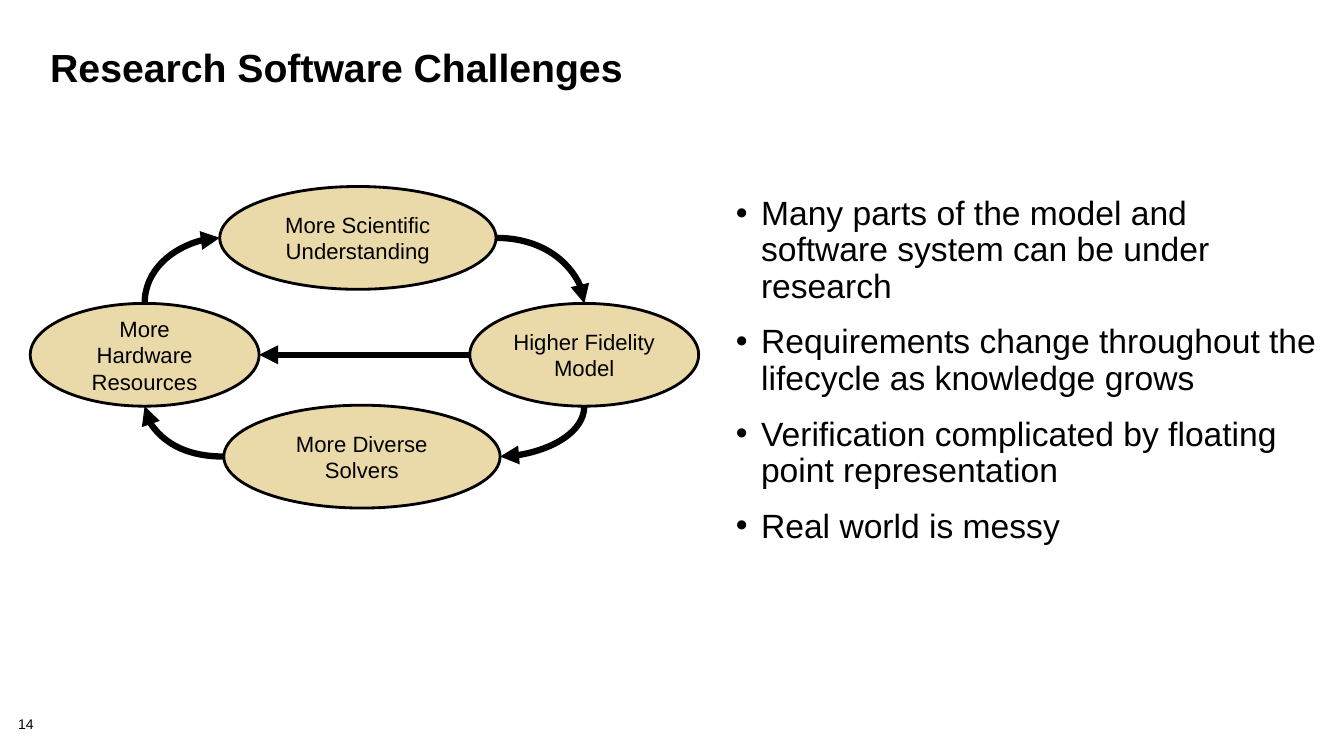
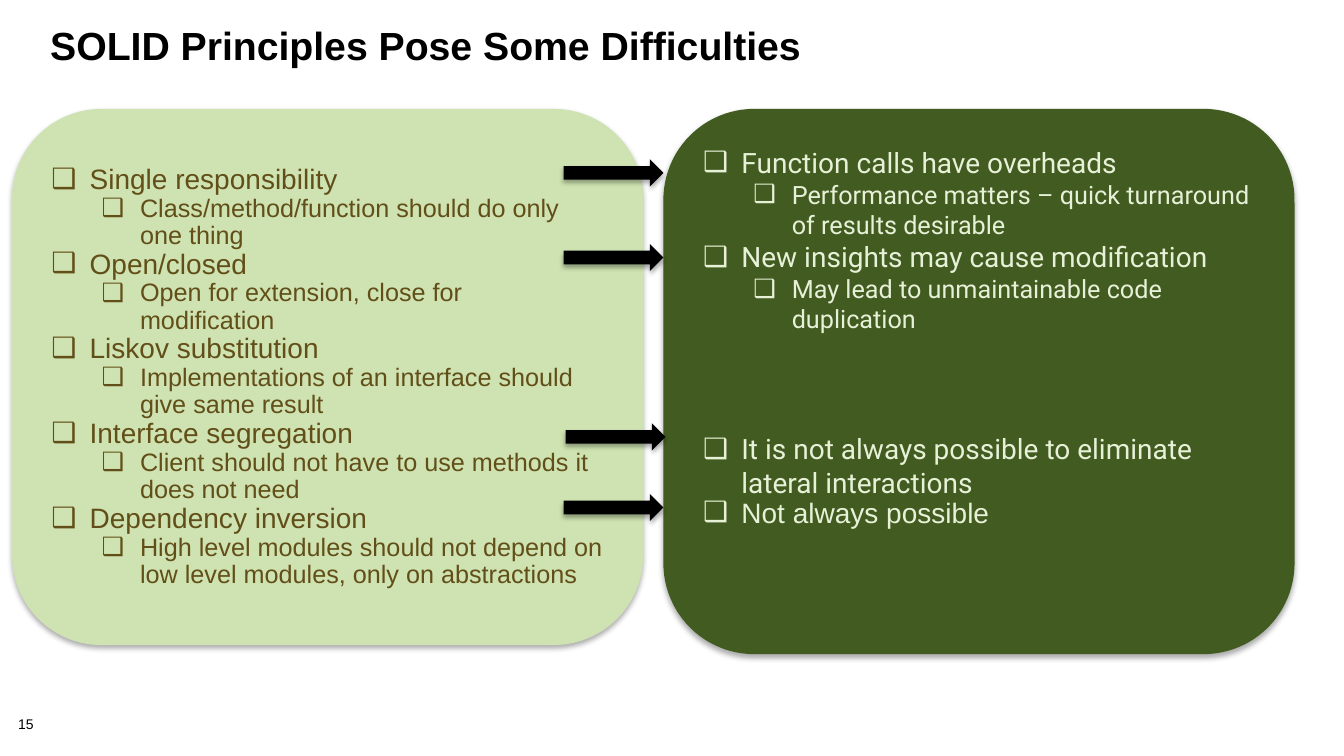
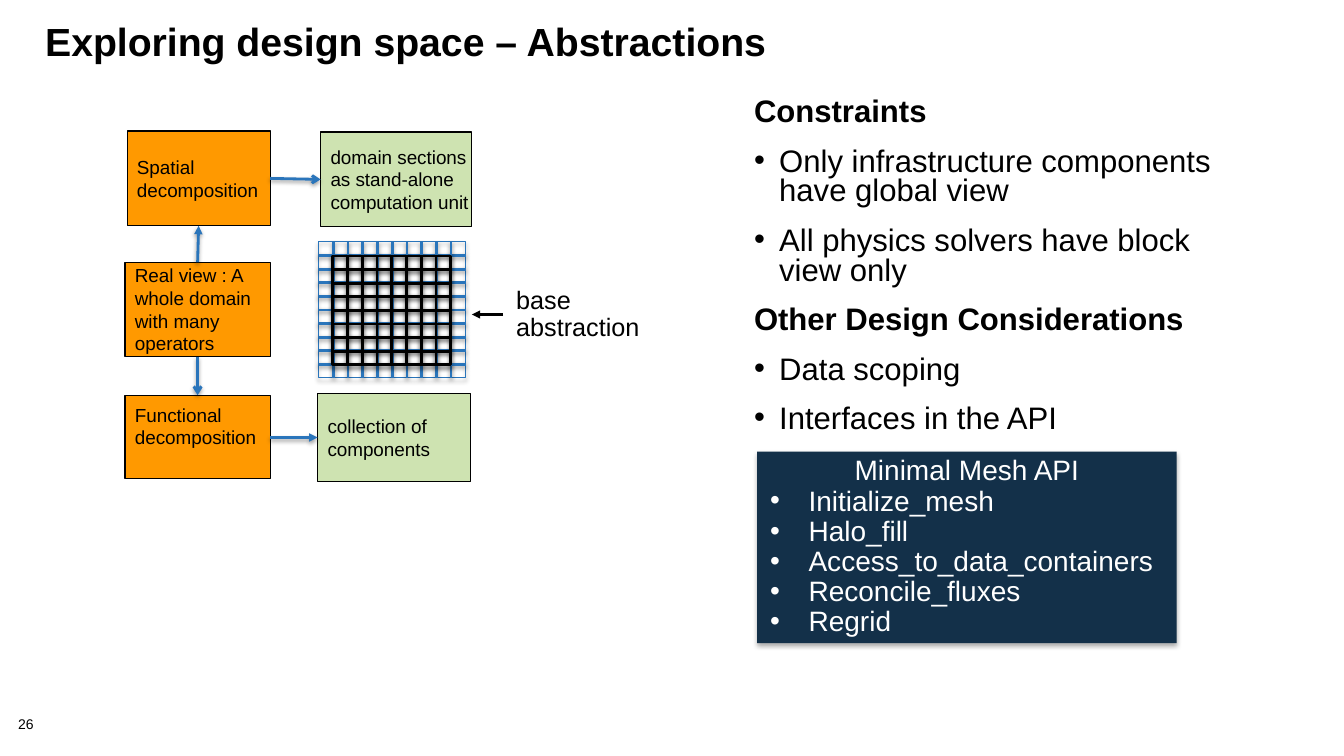
from dataclasses import dataclass, replace
from typing import Optional

from lxml.etree import SubElement
from pptx import Presentation
from pptx.dml.color import RGBColor
from pptx.enum.shapes import MSO_CONNECTOR as CONN, MSO_SHAPE as SHAPE
from pptx.enum.text import MSO_ANCHOR as ANCHOR, PP_ALIGN as ALIGN
from pptx.oxml.ns import qn
from pptx.util import Emu, Pt

PX = 9144  # EMU per px, 100 px to the inch

BLACK, WHITE = "000000", "FFFFFF"
SAND, ORANGE, NAVY, BLUE = "EAD9A9", "FF9900", "133049", "2A75BB"
PALE_GREEN, DARK_GREEN = "CEE3B1", "425B20"
BROWN, MINT = "624E18", "E7F1D8"


@dataclass(frozen=True)
class Box:
    x: int
    y: int
    w: int
    h: int


@dataclass(frozen=True)
class Para:
    text: str  # "\v" marks a line break
    size: float = 18
    color: str = BLACK
    font: str = "Arial"
    bold: bool = False
    align: ALIGN = ALIGN.LEFT
    spacing: float = 1.0
    before: float = 0
    bullet: str = ""
    margin: int = 0
    hang: int = 0
    level: int = 0


@dataclass(frozen=True)
class Shadow:
    alpha: int
    blur: float
    dist: float


@dataclass(frozen=True)
class Frame:
    anchor: ANCHOR = ANCHOR.MIDDLE
    insets: tuple[int, int, int, int] = (10, 5, 10, 5)  # left, top, right, bottom
    wrap: bool = True


@dataclass(frozen=True)
class Node:
    box: Box
    lines: tuple[str, ...]
    fill: str = SAND
    frame: Frame = Frame()


BLOCK_SHADOW = Shadow(32, 3.5, 2.2)
GRID_SHADOW = Shadow(35, 3.1, 1.8)
LINE_SHADOW = Shadow(38, 3.1, 1.6)
TOP = Frame(ANCHOR.TOP)
PANEL = Frame(insets=(13, 7, 13, 7))


# Shared helpers
def px(n: float) -> Emu:
    return Emu(round(n * PX))


def rgb(color: str) -> RGBColor:
    return RGBColor.from_string(color)


def set_shadow(s, shadow: Optional[Shadow]) -> None:
    sp_pr = s.element.spPr
    effects = sp_pr.find(qn("a:effectLst"))
    if effects is None:
        effects = SubElement(sp_pr, qn("a:effectLst"))
    if shadow:
        outer = SubElement(effects, qn("a:outerShdw"), blurRad=str(Pt(shadow.blur)),
                           dist=str(Pt(shadow.dist)), dir="5400000", rotWithShape="0")
        black = SubElement(outer, qn("a:srgbClr"), val=BLACK)
        SubElement(black, qn("a:alpha"), val=str(shadow.alpha * 1000))


def write(s, paras: list[Para], frame: Frame) -> None:
    tf = s.text_frame
    tf.word_wrap = frame.wrap
    tf.vertical_anchor = frame.anchor
    tf.margin_left, tf.margin_top, tf.margin_right, tf.margin_bottom = map(px, frame.insets)
    for i, para in enumerate(paras):
        p = tf.paragraphs[0] if i == 0 else tf.add_paragraph()
        p.text = para.text
        if para.bullet:
            p_pr = p._p.get_or_add_pPr()
            p_pr.set("marL", str(px(para.margin)))
            p_pr.set("indent", str(-px(para.hang)))
            SubElement(p_pr, qn("a:buFont"), typeface="Arial")
            SubElement(p_pr, qn("a:buChar"), char=para.bullet)
        p.level = para.level
        p.alignment = para.align
        p.line_spacing = para.spacing
        p.space_before = Pt(para.before if i else 0)
        p.font.name, p.font.size, p.font.bold = para.font, Pt(para.size), para.bold
        p.font.color.rgb = rgb(para.color)


def add_text(slide, box: Box, paras: list[Para], frame: Frame = TOP) -> None:
    s = slide.shapes.add_textbox(px(box.x), px(box.y), px(box.w), px(box.h))
    write(s, paras, frame)


def add_block(slide, kind: SHAPE, box: Box, fill: str = "", line: str = "", width: float = 0.75,
              shadow: Optional[Shadow] = None):
    s = slide.shapes.add_shape(kind, px(box.x), px(box.y), px(box.w), px(box.h))
    s.shadow.inherit = False
    if fill:
        s.fill.solid()
        s.fill.fore_color.rgb = rgb(fill)
    else:
        s.fill.background()
    if line:
        s.line.color.rgb = rgb(line)
        s.line.width = Pt(width)
    else:
        s.line.fill.background()
    set_shadow(s, shadow)
    return s


def add_line(slide, x1: float, y1: float, x2: float, y2: float, color: str, width: float,
             tail: str = "", shadow: Optional[Shadow] = None, kind: CONN = CONN.STRAIGHT):
    s = slide.shapes.add_connector(kind, px(x1), px(y1), px(x2), px(y2))
    s.line.color.rgb = rgb(color)
    s.line.width = Pt(width)
    if tail:
        SubElement(s.element.spPr.find(qn("a:ln")), qn("a:tailEnd"), type=tail)
    set_shadow(s, shadow)
    return s


def add_slide(prs, title: str, number: int, box: Box):
    """Blank slide with the shared title style and page number."""
    slide = prs.slides.add_slide(prs.slide_layouts[6])
    add_text(slide, Box(18, 712, 56, 16), [Para(str(number), 10, spacing=0.9)],
             Frame(ANCHOR.TOP, (0, 0, 0, 0)))
    add_text(slide, box, [Para(title, 28, bold=True, spacing=0.85)])
    return slide


# Slide: cycle of ellipses
SITES = {"top": 0, "left": 2, "bottom": 4, "right": 6}  # ellipse connection sites


def site_point(box: Box, side: str) -> tuple[float, float]:
    cx, cy = box.x + box.w / 2, box.y + box.h / 2
    return {"top": (cx, box.y), "bottom": (cx, box.y + box.h),
            "left": (box.x, cy), "right": (box.x + box.w, cy)}[side]


def link(slide, start, start_side: str, end, end_side: str, boxes: dict) -> None:
    """Arrow between two ellipses, curved unless both sides are horizontal."""
    x1, y1 = site_point(boxes[start.shape_id], start_side)
    x2, y2 = site_point(boxes[end.shape_id], end_side)
    horizontal = ("left", "right")
    curved = (start_side in horizontal) != (end_side in horizontal)
    turned = start_side not in horizontal
    if turned:  # the curve leaves sideways, so it is laid out before a quarter turn
        cx, cy, u, v = (x1 + x2) / 2, (y1 + y2) / 2, (y2 - y1) / 2, (x1 - x2) / 2
        x1, y1, x2, y2 = cx - u, cy - v, cx + u, cy + v
    s = add_line(slide, x1, y1, x2, y2, BLACK, 4.5, "triangle",
                 kind=CONN.CURVE if curved else CONN.STRAIGHT)
    if curved:
        s.element.spPr.find(qn("a:prstGeom")).set("prst", "curvedConnector2")
    if turned:
        s.rotation = 90
    ends = s.element.find(qn("p:nvCxnSpPr")).find(qn("p:cNvCxnSpPr"))
    for tag, node, side in (("a:stCxn", start, start_side), ("a:endCxn", end, end_side)):
        SubElement(ends, qn(tag), id=str(node.shape_id), idx=str(SITES[side]))


def challenges(prs) -> None:
    slide = add_slide(prs, "Research Software Challenges", 14, Box(40, 45, 1244, 100))
    point = Para("", 24, spacing=0.9, before=14, bullet="•", margin=25, hang=25)
    add_text(slide, Box(720, 190, 598, 425), [replace(point, text=t) for t in (
        "Many parts of the model and software system can be under research",
        "Requirements change throughout the lifecycle as knowledge grows",
        "Verification complicated by floating point representation",
        "Real world is messy")])

    nodes = (Node(Box(218, 185, 274, 102), ("More Scientific Understanding",)),
             Node(Box(466, 301, 227, 102), ("Higher Fidelity", "Model")),
             Node(Box(222, 402, 274, 102), ("More Diverse", "Solvers")),
             Node(Box(30, 301, 227, 102), ("More Hardware", "Resources")))
    shapes, boxes = [], {}
    for node in nodes:
        s = add_block(slide, SHAPE.OVAL, node.box, node.fill, BLACK, 2)
        write(s, [Para(t, 15.8, align=ALIGN.CENTER) for t in node.lines], node.frame)
        shapes.append(s)
        boxes[s.shape_id] = node.box
    insight, model, solvers, hardware = shapes
    for start, start_side, end, end_side in (
            (insight, "right", model, "top"), (model, "bottom", solvers, "right"),
            (solvers, "left", hardware, "bottom"), (hardware, "top", insight, "left"),
            (model, "left", hardware, "right")):
        link(slide, start, start_side, end, end_side, boxes)


# Slide: SOLID principles
def principles(prs) -> None:
    slide = add_slide(prs, "SOLID Principles Pose Some Difficulties", 15, Box(40, 23, 1244, 100))
    head = Para("", 20, BROWN, spacing=0.9, bullet="❑", margin=38, hang=38)
    sub = replace(head, size=18, margin=88, level=1)
    left = []
    for name, meaning in (
            ("Single responsibility", "Class/method/function should do only one thing"),
            ("Open/closed", "Open for extension, close for\vmodification"),
            ("Liskov substitution", "Implementations of an interface should give same result"),
            ("Interface segregation", "Client should not have to use methods it does not need"),
            ("Dependency inversion",
             "High level modules should not depend on low level modules, only on abstractions")):
        left += [replace(head, text=name), replace(sub, text=meaning)]

    issue = replace(head, color=MINT, font="Roboto", spacing=1.0)
    detail = replace(issue, size=18, margin=88, level=1)
    right = [
        replace(issue, text="Function calls have overheads"),
        replace(detail, text="Performance matters – quick turnaround of results desirable"),
        replace(issue, text="New insights may cause modification"),
        replace(detail, text="May lead to unmaintainable code duplication"),
        replace(issue, text="It is not always possible to eliminate lateral interactions", before=70),
        replace(issue, text="Not always possible", font="Arial", spacing=0.9)]

    for box, fill, paras, frame in (
            (Box(12, 108, 626, 532), PALE_GREEN, left, PANEL),
            (Box(658, 108, 626, 541), DARK_GREEN, right, Frame(ANCHOR.TOP, (13, 10, 13, 7)))):
        s = add_block(slide, SHAPE.ROUNDED_RECTANGLE, box, fill, shadow=BLOCK_SHADOW)
        write(s, paras, frame)
    for x, y in ((559, 158), (559, 242), (561, 420), (559, 490)):
        add_block(slide, SHAPE.RIGHT_ARROW, Box(x, y, 99, 27), BLACK, shadow=BLOCK_SHADOW)


# Slide: abstractions
def add_mesh(slide, box: Box, cells: int, color: str, border: float) -> None:
    add_block(slide, SHAPE.RECTANGLE, box, line=color, width=border, shadow=GRID_SHADOW)
    for k in range(1, cells):
        x, y = box.x + box.w * k / cells, box.y + box.h * k / cells
        add_line(slide, x, box.y, x, box.y + box.h, color, 2, shadow=LINE_SHADOW)
        add_line(slide, box.x, y, box.x + box.w, y, color, 2, shadow=LINE_SHADOW)


def abstractions(prs) -> None:
    slide = add_slide(prs, "Exploring design space – Abstractions", 26, Box(35, 19, 1160, 68))

    # Decomposition boxes and their arrows
    plain = Frame(wrap=False)
    raised = Frame(insets=(10, 5, 10, 27), wrap=False)
    for node in (
            Node(Box(124, 260, 144, 94),
                 ("Real view : A", "whole domain", "with many", "operators"), ORANGE, plain),
            Node(Box(124, 392, 144, 83), ("Functional", "decomposition"), ORANGE, raised),
            Node(Box(318, 131, 150, 94),
                 ("domain sections", "as stand-alone", "computation unit"), PALE_GREEN, plain),
            Node(Box(315, 390, 152, 88), ("collection of", "components"), PALE_GREEN, plain),
            Node(Box(126, 130, 142, 94), ("Spatial", "decomposition"), ORANGE, plain)):
        s = add_block(slide, SHAPE.RECTANGLE, node.box, node.fill, BLACK)
        write(s, [Para(t, 13.5) for t in node.lines], node.frame)
    for x1, y1, x2, y2, tail in ((268, 177, 318, 178, "arrow"), (196, 354, 196, 392, "arrow"),
                                 (196, 260, 197, 224, "triangle"),
                                 (268, 434, 315, 434, "triangle")):
        add_line(slide, x1, y1, x2, y2, BLUE, 2, tail, LINE_SHADOW)

    # Mesh with halo cells around the interior
    add_mesh(slide, Box(316, 240, 146, 135), 10, BLUE, 0.75)
    add_mesh(slide, Box(330, 254, 117, 108), 8, BLACK, 2)
    add_text(slide, Box(499, 275, 150, 75),
             [Para(t, spacing=0.9) for t in ("base", "abstraction")],
             Frame(insets=(13, 10, 13, 10), wrap=False))
    add_line(slide, 499, 312, 468, 312, BLACK, 1.75, "triangle")

    # Constraints and considerations
    head = Para("", 22.2, bold=True, spacing=0.8, before=14)
    point = replace(head, bold=False, bullet="•", margin=25, hang=25)
    body = []
    for title, points in (
            ("Constraints", ("Only infrastructure components have global view",
                             "All physics solvers have block view only")),
            ("Other Design Considerations", ("Data scoping", "Interfaces in the API"))):
        body += [replace(head, text=title)] + [replace(point, text=t) for t in points]
    add_text(slide, Box(738, 93, 505, 352), body)

    # Mesh API
    call = Para("", 20, WHITE, spacing=0.9, bullet="•", margin=38, hang=38)
    api = [Para("Minimal Mesh API", 20, WHITE, align=ALIGN.CENTER, spacing=0.9)]
    api += [replace(call, text=t) for t in (
        "Initialize_mesh", "Halo_fill", "Access_to_data_containers", "Reconcile_fluxes", "Regrid")]
    s = add_block(slide, SHAPE.RECTANGLE, Box(751, 448, 416, 190), NAVY, shadow=BLOCK_SHADOW)
    write(s, api, PANEL)


def main() -> None:
    prs = Presentation()
    prs.slide_width, prs.slide_height = px(1333), px(750)
    challenges(prs)
    principles(prs)
    abstractions(prs)
    prs.save("out.pptx")


if __name__ == "__main__":
    main()
